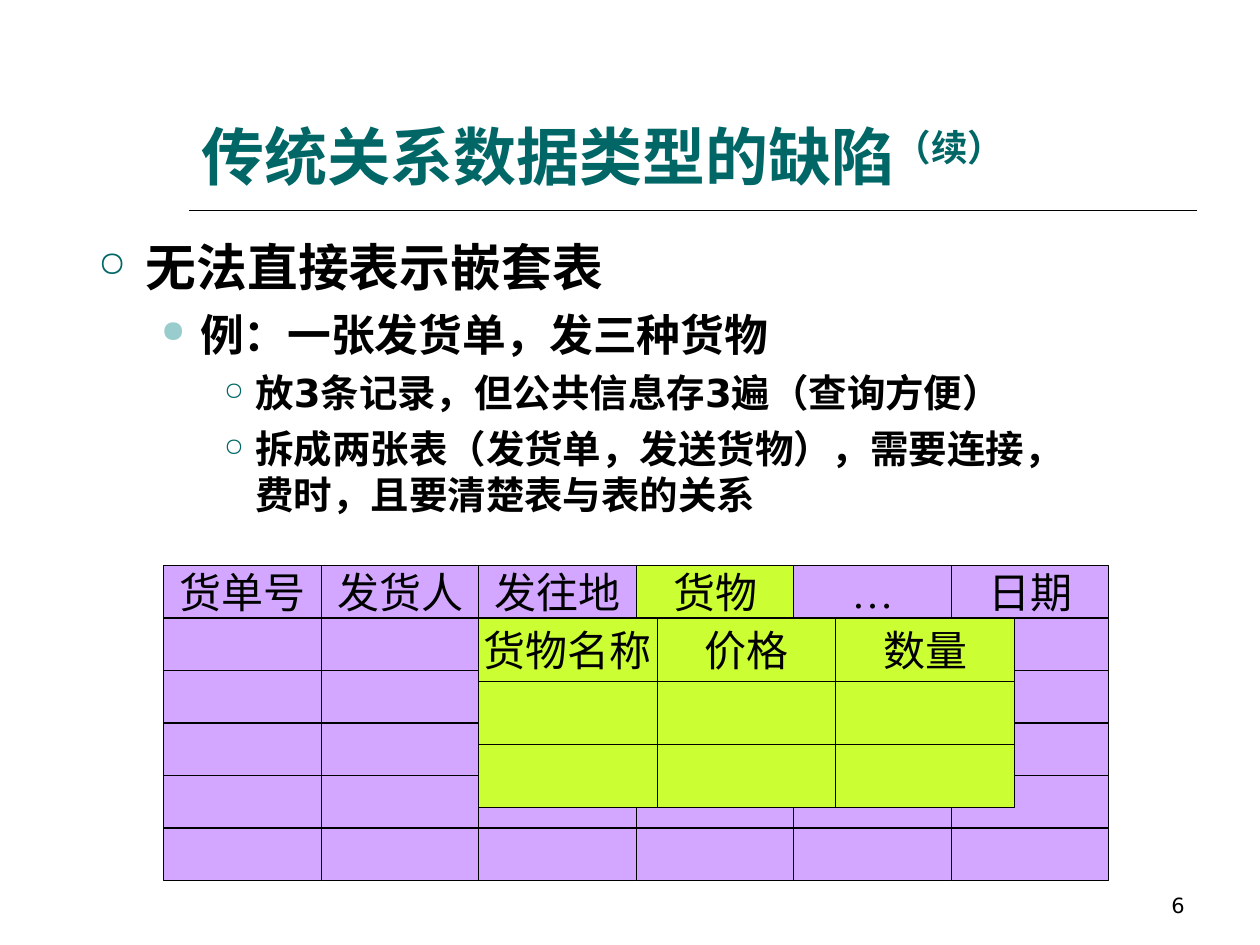
"""Build the slide on the shortcomings of traditional relational data types."""
from dataclasses import dataclass

from lxml.etree import SubElement
from pptx import Presentation
from pptx.dml.color import RGBColor
from pptx.enum.shapes import MSO_CONNECTOR, MSO_SHAPE
from pptx.enum.text import MSO_ANCHOR, MSO_AUTO_SIZE, PP_ALIGN
from pptx.oxml.ns import qn
from pptx.util import Inches, Pt

BLACK, TEAL, PALE_TEAL = "000000", "006666", "99CCCC"
PURPLE, LIME = "D3A7FF", "CCFF33"


@dataclass(frozen=True)
class Bullet:
    text: str
    level: int


@dataclass(frozen=True)
class BulletStyle:
    size: float
    before: float
    margin: float
    hanging: float
    symbol: str
    color: str
    percent: int


@dataclass(frozen=True)
class Grid:
    left: float
    top: float
    cell_width: float
    cell_height: float
    rows: int
    headers: tuple[str, ...]
    fill: str
    highlighted: str = ""


STYLES = (
    BulletStyle(29, 7.3, 0.38, 0.38, "○", TEAL, 70),
    BulletStyle(25, 6.2, 0.81, 0.31, "●", PALE_TEAL, 70),
    BulletStyle(22, 5.5, 1.25, 0.25, "○", TEAL, 65),
)
BULLETS = (
    Bullet("无法直接表示嵌套表", 0),
    Bullet("例：一张发货单，发三种货物", 1),
    Bullet("放3条记录，但公共信息存3遍（查询方便）", 2),
    Bullet("拆成两张表（发货单，发送货物），需要连接，费时，且要清楚表与表的关系", 2),
)
GRIDS = (
    Grid(1.3, 4.49, 1.25, 1.25 / 3, 6,
         ("货单号", "发货人", "发往地", "货物", "…", "日期"), PURPLE, "货物"),
    Grid(3.8, 4.91, 4.25 / 3, 0.5, 3, ("货物名称", "价格", "数量"), LIME),
)


def rgb(value: str) -> RGBColor:
    """Return the colour of a hex string."""
    return RGBColor.from_string(value)


def apply_format(target, values: dict) -> None:
    """Set every named value on the target."""
    for name, value in values.items():
        setattr(target, name, value)


def add_run(paragraph, text: str, font_name: str, size: float, color: str, bold: bool = False):
    """Add a formatted run to a paragraph."""
    run = paragraph.add_run()
    run.text = text
    apply_format(run.font, {"name": font_name, "size": Pt(size), "bold": bold})
    run.font.color.rgb = rgb(color)
    return run


def format_title(title) -> None:
    """Place and fill the title with its raised suffix."""
    apply_format(title, {"left": Inches(1.5), "top": Inches(0.33),
                         "width": Inches(8), "height": Inches(1.25)})
    apply_format(title.text_frame, {"vertical_anchor": MSO_ANCHOR.BOTTOM,
                                    "auto_size": MSO_AUTO_SIZE.NONE, "word_wrap": True})
    paragraph = title.text_frame.paragraphs[0]
    paragraph.alignment = PP_ALIGN.LEFT
    add_run(paragraph, "传统关系数据类型的缺陷", "Arial", 36, TEAL, True)
    suffix = add_run(paragraph, "（续）", "Arial", 36, TEAL, True)
    suffix.font._element.set("baseline", "30000")


def add_rule(slide) -> None:
    """Draw the line under the title."""
    connector = slide.shapes.add_connector(
        MSO_CONNECTOR.STRAIGHT, Inches(1.5), Inches(1.67), Inches(9.5), Inches(1.67))
    connector.line.color.rgb = rgb(BLACK)
    connector.line.width = Pt(1)
    SubElement(connector._element.spPr, qn("a:effectLst"))


def set_bullet(paragraph, style: BulletStyle) -> None:
    """Give a paragraph its indent and bullet."""
    properties = paragraph._p.get_or_add_pPr()
    properties.set("marL", str(Inches(style.margin)))
    properties.set("indent", str(-Inches(style.hanging)))
    color = SubElement(properties, qn("a:buClr"))
    SubElement(color, qn("a:srgbClr"), val=style.color)
    SubElement(properties, qn("a:buSzPct"), val=str(style.percent * 1000))
    SubElement(properties, qn("a:buChar"), char=style.symbol)


def add_bullets(slide, bullets: tuple[Bullet, ...]) -> None:
    """Write the bulleted text."""
    box = slide.shapes.add_textbox(Inches(0.68), Inches(1.82), Inches(8), Inches(4.5))
    frame = box.text_frame
    frame.word_wrap = True
    for index, bullet in enumerate(bullets):
        style = STYLES[bullet.level]
        paragraph = frame.add_paragraph() if index else frame.paragraphs[0]
        apply_format(paragraph, {"level": bullet.level, "space_before": Pt(style.before)})
        set_bullet(paragraph, style)
        add_run(paragraph, bullet.text, "DejaVu Sans", style.size, BLACK, True)


def add_cell(slide, grid: Grid, row: int, column: int) -> None:
    """Draw one cell of a grid, with its header in the first row."""
    text = grid.headers[column] if row == 0 else ""
    cell = slide.shapes.add_shape(
        MSO_SHAPE.RECTANGLE,
        Inches(grid.left + column * grid.cell_width),
        Inches(grid.top + row * grid.cell_height),
        Inches(grid.cell_width), Inches(grid.cell_height))
    cell.shadow.inherit = False
    cell.fill.solid()
    cell.fill.fore_color.rgb = rgb(LIME if text and text == grid.highlighted else grid.fill)
    cell.line.color.rgb = rgb(BLACK)
    cell.line.width = Pt(0.75)
    if text:
        apply_format(cell.text_frame, {"word_wrap": False, "vertical_anchor": MSO_ANCHOR.MIDDLE})
        paragraph = cell.text_frame.paragraphs[0]
        paragraph.alignment = PP_ALIGN.CENTER
        add_run(paragraph, text, "Times New Roman", 24, BLACK)


def add_grid(slide, grid: Grid) -> None:
    """Draw all cells of a grid."""
    for row in range(grid.rows):
        for column in range(len(grid.headers)):
            add_cell(slide, grid, row, column)


def add_page_number(slide) -> None:
    """Write the page number at the lower right."""
    box = slide.shapes.add_textbox(Inches(7.17), Inches(6.83), Inches(2.33), Inches(0.5))
    apply_format(box.text_frame, {"word_wrap": True, "vertical_anchor": MSO_ANCHOR.BOTTOM})
    paragraph = box.text_frame.paragraphs[0]
    paragraph.alignment = PP_ALIGN.RIGHT
    add_run(paragraph, "6", "DejaVu Sans", 12, BLACK)


def main() -> None:
    """Build and save the presentation."""
    presentation = Presentation()
    apply_format(presentation, {"slide_width": Inches(10), "slide_height": Inches(7.5)})
    slide = presentation.slides.add_slide(presentation.slide_layouts[5])
    add_rule(slide)
    add_page_number(slide)
    format_title(slide.shapes.title)
    add_bullets(slide, BULLETS)
    for grid in GRIDS:
        add_grid(slide, grid)
    presentation.save("out.pptx")


if __name__ == "__main__":
    main()
